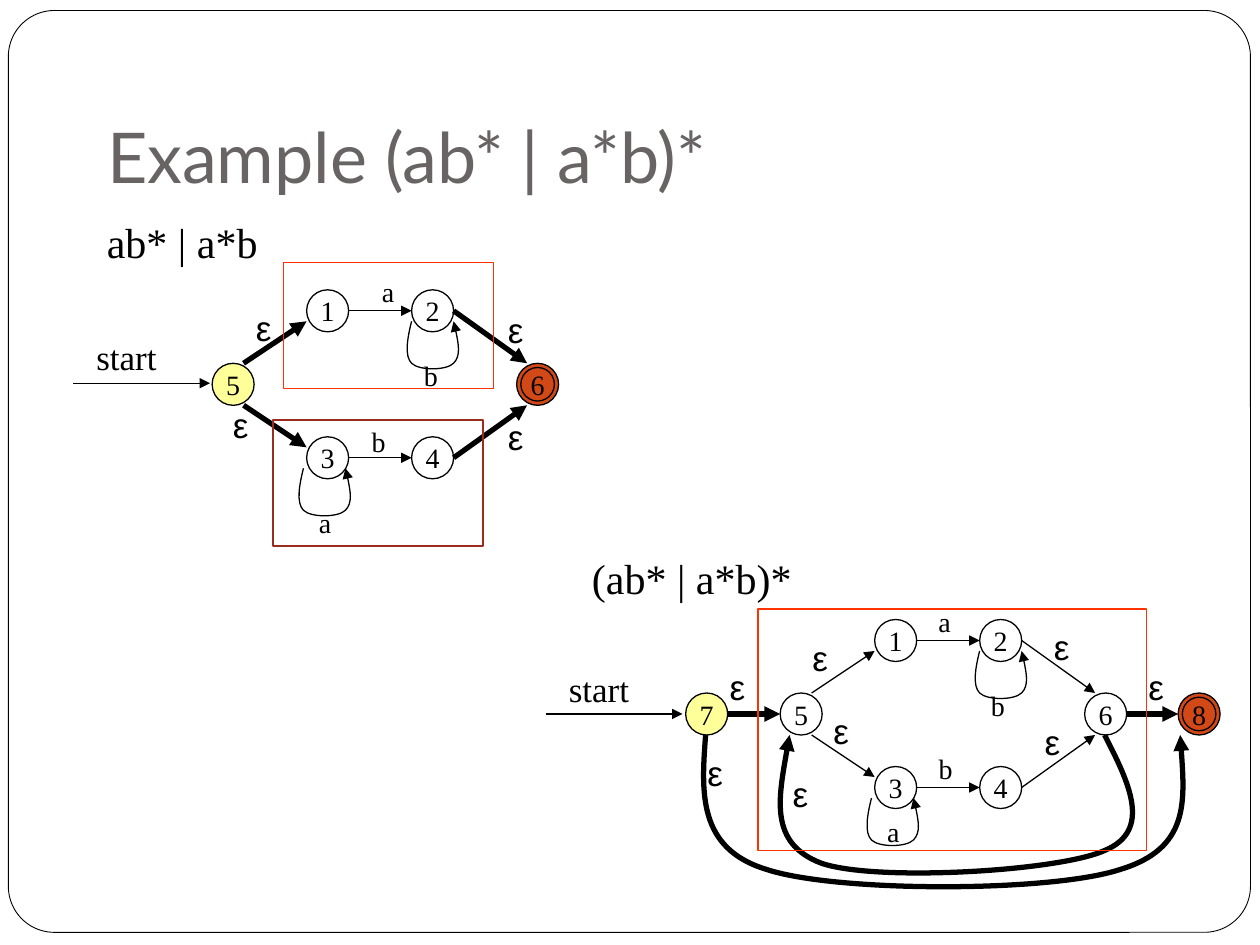
"""Build the slide showing automata for ab* | a*b and (ab* | a*b)*."""
import dataclasses
import typing

import lxml.etree
import pptx
import pptx.dml.color
import pptx.enum.shapes
import pptx.enum.text
import pptx.oxml.ns
import pptx.util

PX = 7620
STATE = 40
THIN, BOLD = 0.75, 3
SERIF, SANS = "Times New Roman", "Arial"
COLORS = {"ink": "000000", "paper": "FFFFFF", "title": "696464", "start": "FFFF99",
          "accept": "D34817", "box": "FF3300", "dark box": "9B2D1F"}
SHAPE = pptx.enum.shapes.MSO_SHAPE
qn = pptx.oxml.ns.qn
Point = tuple[int, int]


@dataclasses.dataclass(frozen=True)
class LabelStyle:
    width: int
    height: int
    points: int
    font: str


@dataclasses.dataclass(frozen=True)
class State:
    name: str
    x: int
    y: int
    fill: typing.Optional[str] = None


@dataclasses.dataclass(frozen=True)
class Edge:
    start: Point
    end: Point
    weight: float = THIN


@dataclasses.dataclass(frozen=True)
class Frame:
    x: int
    y: int
    width: int
    height: int
    color: str


@dataclasses.dataclass(frozen=True)
class Automaton:
    shift: Point
    weight: float
    ends: tuple[typing.Optional[str], typing.Optional[str]]
    states: list[State]
    edges: list[Edge]
    curves: list[list[Point]]
    labels: dict[str, list[Point]]
    frames: list[Frame]
    accept: Point


LABEL_STYLES = {
    "a": LabelStyle(36, 44, 16, SERIF),
    "b": LabelStyle(37, 44, 16, SERIF),
    "ε": LabelStyle(38, 52, 20, SANS),
    "start": LabelStyle(82, 52, 20, SERIF),
    "ab* | a*b": LabelStyle(168, 60, 24, SERIF),
    "(ab* | a*b)*": LabelStyle(214, 60, 24, SERIF),
}
LOOP = [(0, 0), (-4, 16), (-7, 33), (0, 40), (7, 47), (33, 47), (40, 40),
        (47, 33), (44, 16), (40, 0)]

AUTOMATA = [
    Automaton(
        (0, 0), BOLD, ("start", "accept"), [],
        [Edge((70, 365), (200, 365))], [],
        {"a": [(352, 256), (292, 476)], "b": [(342, 398), (392, 336)],
         "ε": [(210, 378), (232, 286), (472, 288), (472, 390)],
         "start": [(80, 314)], "ab* | a*b": [(90, 200)]},
        [Frame(270, 250, 200, 120, "box"), Frame(260, 400, 200, 120, "dark box")],
        (492, 346)),
    Automaton(
        (541, 314), THIN, (None, None),
        [State("7", 653, 660, "start"), State("8", 1122, 660, "accept")],
        [Edge((693, 680), (743, 680), BOLD), Edge((1073, 680), (1122, 680), BOLD),
         Edge((520, 680), (650, 680))],
        [[(1052, 700), (1075, 745), (1098, 791), (1052, 810), (1008, 830),
          (833, 840), (782, 822), (732, 803), (743, 751), (752, 700)],
         [(672, 700), (668, 754), (664, 808), (730, 828), (796, 850),
          (1001, 850), (1067, 828), (1133, 808), (1128, 754), (1124, 700)]],
        {"a": [(882, 570), (833, 770)], "b": [(932, 650), (882, 710)],
         "ε": [(662, 710), (743, 730), (683, 628), (1082, 628),
               (762, 600), (782, 670), (983, 680), (992, 590)],
         "start": [(530, 630)], "(ab* | a*b)*": [(552, 520)]},
        [Frame(722, 580, 370, 230, "box")],
        (1122, 660)),
]


def rgb(name: str) -> pptx.dml.color.RGBColor:
    return pptx.dml.color.RGBColor.from_string(COLORS[name])


def write(frame: typing.Any, text: str, points: int, font: str, color: str = "ink") -> typing.Any:
    para = frame.paragraphs[0]
    span = para.add_run()
    span.text = text
    span.font.size = pptx.util.Pt(points)
    span.font.name = font
    span.font.color.rgb = rgb(color)
    return para


def set_line(shape: typing.Any, weight: float, color: str = "ink", arrow: bool = False) -> None:
    shape.line.color.rgb = rgb(color)
    shape.line.width = pptx.util.Pt(weight)
    if arrow:
        line = shape.element.spPr.find(qn("a:ln"))
        lxml.etree.SubElement(line, qn("a:tailEnd"), type="triangle")


def draw_shape(shapes: typing.Any, kind: typing.Any, x: int, y: int, width: int, height: int,
               fill: typing.Optional[str] = None, color: str = "ink",
               weight: float = THIN) -> typing.Any:
    shape = shapes.add_shape(kind, x * PX, y * PX, width * PX, height * PX)
    shape.shadow.inherit = False
    if fill:
        shape.fill.solid()
        shape.fill.fore_color.rgb = rgb(fill)
    else:
        shape.fill.background()
    set_line(shape, weight, color)
    return shape


def draw_state(shapes: typing.Any, state: State) -> None:
    circle = draw_shape(shapes, SHAPE.OVAL, state.x, state.y, STATE, STATE, state.fill)
    circle.text_frame.word_wrap = False
    circle.text_frame.vertical_anchor = pptx.enum.text.MSO_ANCHOR.MIDDLE
    para = write(circle.text_frame, state.name, 16, SERIF)
    para.alignment = pptx.enum.text.PP_ALIGN.CENTER


def draw_edge(shapes: typing.Any, edge: Edge) -> None:
    ends = [value * PX for value in edge.start + edge.end]
    arrow = shapes.add_connector(pptx.enum.shapes.MSO_CONNECTOR.STRAIGHT, *ends)
    set_line(arrow, edge.weight, arrow=True)
    lxml.etree.SubElement(arrow.element.spPr, qn("a:effectLst"))


def draw_curve(shapes: typing.Any, points: list[Point], weight: float) -> None:
    builder = shapes.build_freeform(*points[0], scale=PX)
    builder.add_line_segments(points[1:], close=False)
    curve = builder.convert_to_shape()
    outline = next(curve.element.iter(qn("a:path")))
    segments = outline.findall(qn("a:lnTo"))
    for first in range(0, len(segments), 3):
        bezier = lxml.etree.SubElement(outline, qn("a:cubicBezTo"))
        for segment in segments[first:first + 3]:
            bezier.append(segment[0])
            outline.remove(segment)
    curve.shadow.inherit = False
    curve.fill.background()
    set_line(curve, weight, arrow=True)


def draw_label(shapes: typing.Any, text: str, x: int, y: int) -> None:
    style = LABEL_STYLES[text]
    box = shapes.add_textbox(x * PX, y * PX, style.width * PX, style.height * PX)
    box.text_frame.word_wrap = False
    box.text_frame.auto_size = pptx.enum.text.MSO_AUTO_SIZE.SHAPE_TO_FIT_TEXT
    write(box.text_frame, text, style.points, style.font)


def draw_automaton(shapes: typing.Any, machine: Automaton) -> None:
    dx, dy = machine.shift
    core = [("1", 292, 276, None), ("2", 392, 276, None), ("3", 292, 416, None),
            ("4", 392, 416, None), ("5", 202, 346, machine.ends[0]),
            ("6", 492, 346, machine.ends[1])]
    states = [State(name, x + dx, y + dy, fill) for name, x, y, fill in core]
    routes = [(332, 296, 392, 296, THIN), (332, 436, 392, 436, THIN),
              (232, 346, 292, 306, machine.weight), (232, 386, 292, 426, machine.weight),
              (432, 436, 502, 386, machine.weight), (432, 296, 502, 346, machine.weight)]
    edges = [Edge((x1 + dx, y1 + dy), (x2 + dx, y2 + dy), weight)
             for x1, y1, x2, y2, weight in routes]
    for state in states + machine.states:
        draw_state(shapes, state)
    for edge in edges + machine.edges:
        draw_edge(shapes, edge)
    for left, top in [(392, 306), (289, 446)]:
        draw_curve(shapes, [(left + dx + x, top + dy + y) for x, y in LOOP], THIN)
    for points in machine.curves:
        draw_curve(shapes, points, BOLD)
    for text, places in machine.labels.items():
        for x, y in places:
            draw_label(shapes, text, x, y)
    for frame in machine.frames:
        draw_shape(shapes, SHAPE.RECTANGLE, frame.x, frame.y, frame.width, frame.height,
                   color=frame.color)
    x, y = machine.accept
    draw_shape(shapes, SHAPE.OVAL, x + 4, y + 4, STATE - 8, STATE - 8)


def draw_title(page: typing.Any) -> None:
    title = page.shapes.title
    title.left, title.top, title.width, title.height = 90 * PX, 50 * PX, 1020 * PX, 150 * PX
    frame = title.text_frame
    frame.auto_size = pptx.enum.text.MSO_AUTO_SIZE.NONE
    frame.vertical_anchor = pptx.enum.text.MSO_ANCHOR.BOTTOM
    frame.margin_bottom = 12 * PX
    para = write(frame, "Example (ab* | a*b)*", 40, "Lato", "title")
    para.alignment = pptx.enum.text.PP_ALIGN.LEFT
    border = draw_shape(page.shapes, SHAPE.ROUNDED_RECTANGLE, 8, 10, 1183, 878, "paper", weight=0.5)
    border.adjustments[0] = 0.05
    title.element.addprevious(border.element)


def main() -> None:
    deck = pptx.Presentation()
    deck.slide_width, deck.slide_height = 1200 * PX, 900 * PX
    page = deck.slides.add_slide(deck.slide_layouts.get_by_name("Title Only"))
    draw_title(page)
    for machine in AUTOMATA:
        draw_automaton(page.shapes.add_group_shape().shapes, machine)
    deck.save("out.pptx")


if __name__ == "__main__":
    main()
